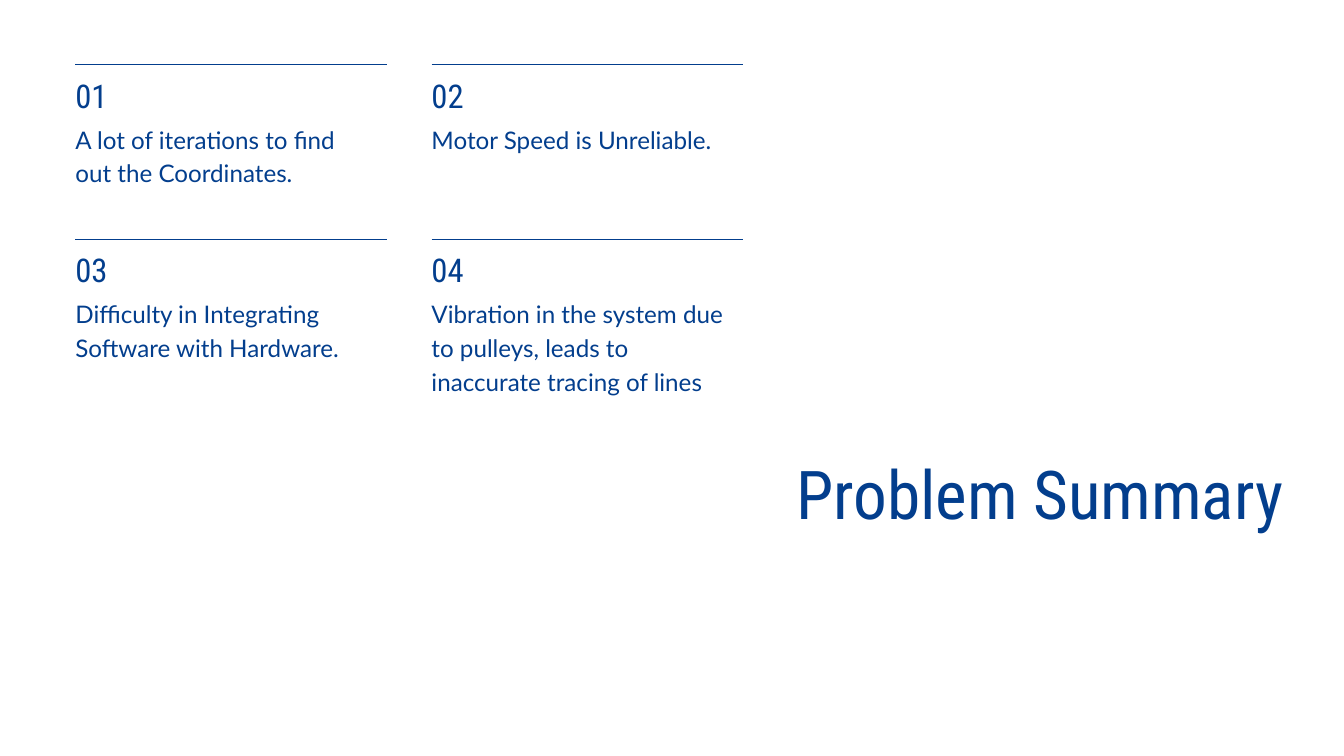
from dataclasses import dataclass

from lxml import etree
from pptx import Presentation
from pptx.dml.color import RGBColor
from pptx.enum.shapes import MSO_CONNECTOR
from pptx.enum.text import MSO_AUTO_SIZE, PP_ALIGN
from pptx.oxml.ns import qn
from pptx.util import Cm, Pt

LINE = MSO_CONNECTOR.STRAIGHT
FIT = MSO_AUTO_SIZE.SHAPE_TO_FIT_TEXT
LEFT, RIGHT = PP_ALIGN.LEFT, PP_ALIGN.RIGHT


@dataclass(frozen=True)
class Theme:
    """Colours, fonts, type sizes and line spacings."""
    ink: RGBColor = RGBColor(0x03, 0x3E, 0x8D)
    paper: RGBColor = RGBColor(0xFF, 0xFF, 0xFF)
    title: tuple = ("Roboto Condensed", 72.1, 86.5)
    num: tuple = ("Roboto Condensed", 35, 45.5)
    body: tuple = ("Lato", 25.9, 36.2)
    rule: float = 1


THEME = Theme()
ITEMS = [
    ("01", "A lot of iterations to find out the Coordinates.", 2),
    ("02", "Motor Speed is Unreliable.", 1),
    ("03", "Difficulty in Integrating Software with Hardware.", 2),
    ("04", "Vibration in the system due to pulleys, leads to inaccurate tracing of lines", 3),
]


def set_all(item, values):
    """Set each named attribute on the item."""
    for name, value in values.items():
        setattr(item, name, value)


def add_text(slide, box, text, style, align=LEFT):
    """Place one paragraph in a box without margins."""
    face, size, lead = style
    frame = slide.shapes.add_textbox(*map(Cm, box)).text_frame
    set_all(frame, {"word_wrap": True, "auto_size": FIT, "margin_left": 0,
                    "margin_right": 0, "margin_top": 0, "margin_bottom": 0})
    para = frame.paragraphs[0]
    set_all(para, {"alignment": align, "line_spacing": Pt(lead)})
    run = para.add_run()
    run.text = text
    set_all(run.font, {"name": face, "size": Pt(size)})
    run.font.color.rgb = THEME.ink


def add_rule(slide, left, top, width):
    """Draw a thin level line."""
    rule = slide.shapes.add_connector(LINE, Cm(left), Cm(top), Cm(left + width), Cm(top))
    rule.line.color.rgb = THEME.ink
    rule.line.width = Pt(THEME.rule)
    etree.SubElement(rule.element.spPr, qn("a:effectLst"))


def add_item(slide, box, num, text, rows):
    """Place a rule with a number and a text below it."""
    left, top, width = box
    inner = width - 0.53
    add_rule(slide, left, top, width)
    add_text(slide, (left, top + 0.3, inner, 1.52), num, THEME.num)
    span = width if rows == 1 else inner
    add_text(slide, (left, top + 2.1, span, rows * 1.27 - 0.08), text, THEME.body)


def add_grid(slide, box):
    """Lay out the problems in two columns."""
    left, top, width, height = box
    gap = 1.7
    cell = (width - gap) / 2
    for index, item in enumerate(ITEMS):
        row, col = divmod(index, 2)
        spot = (left + col * (cell + gap), top + row * height / 2, cell)
        add_item(slide, spot, *item)


def main():
    """Build and save the slide."""
    deck = Presentation()
    set_all(deck, {"slide_width": Cm(50.8), "slide_height": Cm(28.58)})
    slide = deck.slides.add_slide(deck.slide_layouts[6])
    fill = slide.background.fill
    fill.solid()
    fill.fore_color.rgb = THEME.paper
    add_grid(slide, (2.85, 2.44, 25.22, 13.2))
    add_text(slide, (28.07, 17.1, 20.45, 3.05), "Problem Summary", THEME.title, RIGHT)
    deck.save("out.pptx")


if __name__ == "__main__":
    main()
